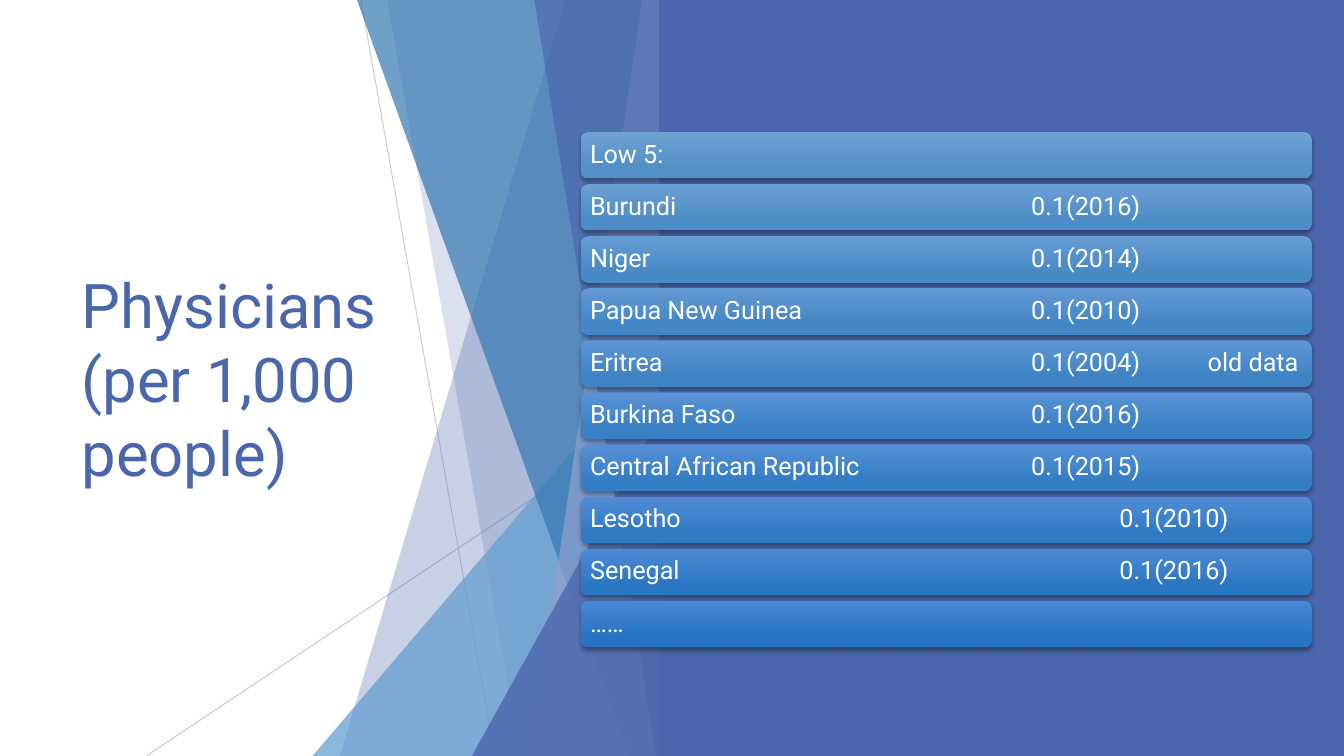
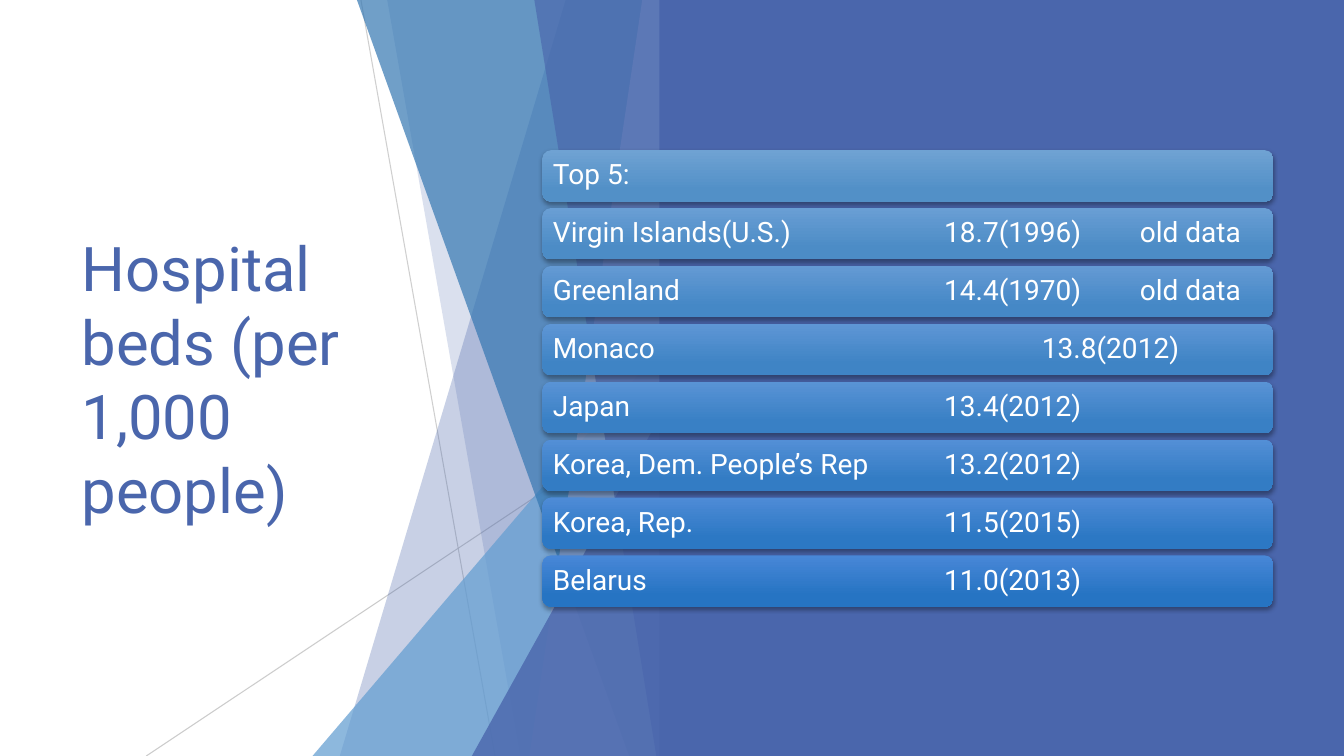
import pptx
import pptx.util
import pptx.dml.color
import pptx.enum.shapes
import pptx.enum.text
import pptx.oxml.ns
from lxml import etree

Inches, Pt = pptx.util.Inches, pptx.util.Pt
RGB = pptx.dml.color.RGBColor
SHAPE = pptx.enum.shapes.MSO_SHAPE
qn = pptx.oxml.ns.qn

FONT = "Roboto"
WIDTH, HEIGHT = 13.33, 7.5
COLOURS = {
    "navy": "4A66AC", "sky": "629DD1", "steel": "3477B2", "mist": "90A2CF",
    "grey": "BFBFBF", "white": "FFFFFF", "black": "000000",
}
# Bar gradient (upper, lower colour) in the first and the last bar
FIRST_BAR = ("6FA2D3", "5290C7")
LAST_BAR = ("4887D7", "2674C3")

# Each row: cells, then the tab steps at which the second and third cells start
SLIDES = [
    {
        "title": "Physicians (per 1,000 people)",
        "left": 5.76, "first_top": 1.31, "last_top": 5.96, "bar_height": 0.46,
        "size": 18, "inset": 0.07, "tab_step": 0.875,
        "rows": [
            (["Low 5:"], []),
            (["Burundi", "0.1(2016)"], [5]),
            (["Niger", "0.1(2014)"], [5]),
            (["Papua New Guinea", "0.1(2010)"], [5]),
            (["Eritrea", "0.1(2004)", "old data"], [5, 7]),
            (["Burkina Faso", "0.1(2016)"], [5]),
            (["Central African Republic", "0.1(2015)"], [5]),
            (["Lesotho", "0.1(2010)"], [6]),
            (["Senegal", "0.1(2016)"], [6]),
            (["……"], []),
        ],
    },
    {
        "title": "Hospital beds (per 1,000 people)",
        "left": 5.38, "first_top": 1.49, "last_top": 5.51, "bar_height": 0.51,
        "size": 20, "inset": 0.08, "tab_step": 0.97,
        "rows": [
            (["Top 5:"], []),
            (["Virgin Islands(U.S.)", "18.7(1996)", "old data"], [4, 6]),
            (["Greenland", "14.4(1970)", "old data"], [4, 6]),
            (["Monaco", "13.8(2012)"], [5]),
            (["Japan", "13.4(2012)"], [4]),
            (["Korea, Dem. People’s Rep", "13.2(2012)"], [4]),
            (["Korea, Rep.", "11.5(2015)"], [4]),
            (["Belarus", "11.0(2013)"], [4]),
        ],
    },
]
BAR_WIDTH = 7.25

# Facets share a right edge; a wedge has a top and a bottom x, a triangle a left and a top
FACET_RIGHT = 6.66
FACETS = [
    ("wedge", 5.61, 3.37, "navy", 30),
    ("wedge", 3.84, 5.16, "navy", 20),
    ("triangle", 3.10, 3.33, "sky", 72),
    ("wedge", 3.54, 6.24, "steel", 70),
    ("wedge", 6.37, 5.25, "mist", 70),
    ("wedge", 5.30, 6.51, "navy", 65),
    ("triangle", 4.68, 3.93, "navy", 80),
]
# Thin lines: start x, start y, end x, end y, opacity
THIN_LINES = [(3.58, 0, 4.91, HEIGHT, 75), (6.66, 4.03, 1.45, HEIGHT, 80)]
PANEL_LEFT = 6.54


def colour(name):
    return RGB.from_string(COLOURS[name])


def set_opacity(container, percent):
    rgb = next(container.iter(qn("a:srgbClr")))
    etree.SubElement(rgb, qn("a:alpha"), val=str(percent * 1000))


def paint(shape, name, opacity=100):
    shape.shadow.inherit = False
    shape.line.fill.background()
    shape.fill.solid()
    shape.fill.fore_color.rgb = colour(name)
    if opacity < 100:
        set_opacity(shape._element.spPr, opacity)


def blend(first, last, share):
    pairs = zip(bytes.fromhex(first), bytes.fromhex(last))
    return RGB(*(round(a + (b - a) * share) for a, b in pairs))


def style(para, size, name):
    para.alignment = pptx.enum.text.PP_ALIGN.LEFT
    para.font.name, para.font.size = FONT, Pt(size)
    para.font.color.rgb = colour(name)


def add_title(page, text):
    title = page.shapes.title
    title.left, title.top = Inches(0.71), Inches(1.51)
    title.width, title.height = Inches(3.88), Inches(4.48)
    frame = title.text_frame
    frame.text = text
    frame.word_wrap = True
    frame.auto_size = pptx.enum.text.MSO_AUTO_SIZE.NONE
    frame.vertical_anchor = pptx.enum.text.MSO_ANCHOR.MIDDLE
    style(frame.paragraphs[0], 44, "navy")


def add_backdrop(page):
    for x1, y1, x2, y2, opacity in THIN_LINES:
        line = page.shapes.add_connector(
            pptx.enum.shapes.MSO_CONNECTOR.STRAIGHT,
            Inches(x1), Inches(y1), Inches(x2), Inches(y2))
        line.line.width = Pt(0.75)
        line.line.color.rgb = colour("grey")
        set_opacity(line._element.spPr, opacity)
        etree.SubElement(line._element.spPr, qn("a:effectLst"))

    for kind, first, second, name, opacity in FACETS:
        if kind == "wedge":
            corners = [(FACET_RIGHT, 0), (FACET_RIGHT, HEIGHT), (second, HEIGHT)]
            builder = page.shapes.build_freeform(Inches(first), 0)
            builder.add_line_segments([(Inches(x), Inches(y)) for x, y in corners])
            facet = builder.convert_to_shape()
        else:
            facet = page.shapes.add_shape(
                SHAPE.ISOSCELES_TRIANGLE, Inches(first), Inches(second),
                Inches(FACET_RIGHT - first), Inches(HEIGHT - second))
            facet.adjustments[0] = 1
        paint(facet, name, opacity)

    panel = page.shapes.add_shape(
        SHAPE.RECTANGLE, Inches(PANEL_LEFT), 0,
        Inches(WIDTH - PANEL_LEFT), Inches(HEIGHT))
    paint(panel, "navy")


def add_bar_shadow(bar):
    bar.shadow.inherit = False
    effects = bar._element.spPr.find(qn("a:effectLst"))
    shadow = etree.SubElement(
        effects, qn("a:outerShdw"), blurRad=str(Pt(3)), dist=str(Pt(2)),
        dir="5400000", rotWithShape="0")
    etree.SubElement(shadow, qn("a:srgbClr"), val=COLOURS["black"])
    set_opacity(shadow, 35)


def add_bar(page, content, top, share, cells, steps):
    bar = page.shapes.add_shape(
        SHAPE.ROUNDED_RECTANGLE, Inches(content["left"]), Inches(top),
        Inches(BAR_WIDTH), Inches(content["bar_height"]))
    bar.line.fill.background()
    bar.fill.gradient()
    bar.fill.gradient_angle = 270
    for stop, position, first, last in zip(
            bar.fill.gradient_stops, (0, 0.78), FIRST_BAR, LAST_BAR):
        stop.position = position
        stop.color.rgb = blend(first, last, share)
    add_bar_shadow(bar)

    # Cells sit on tab stops
    frame = bar.text_frame
    frame.word_wrap = True
    frame.vertical_anchor = pptx.enum.text.MSO_ANCHOR.MIDDLE
    frame.margin_left = frame.margin_right = Inches(content["inset"])
    frame.margin_top = frame.margin_bottom = Inches(content["inset"])
    para = frame.paragraphs[0]
    para.text = "\t".join(cells)
    para.line_spacing = 0.9
    if steps:
        tabs = etree.SubElement(para._p.get_or_add_pPr(), qn("a:tabLst"))
        for step in steps:
            position = Inches(step * content["tab_step"])
            etree.SubElement(tabs, qn("a:tab"), pos=str(position), algn="l")
    style(para, content["size"], "white")


def add_bars(page, content):
    last = len(content["rows"]) - 1
    travel = content["last_top"] - content["first_top"]
    for index, (cells, steps) in enumerate(content["rows"]):
        share = index / last
        add_bar(page, content, content["first_top"] + travel * share, share, cells, steps)


def main():
    deck = pptx.Presentation()
    deck.slide_width, deck.slide_height = Inches(WIDTH), Inches(HEIGHT)
    for content in SLIDES:
        page = deck.slides.add_slide(deck.slide_layouts[5])
        add_title(page, content["title"])
        add_backdrop(page)
        add_bars(page, content)
    deck.save("out.pptx")


if __name__ == "__main__":
    main()
